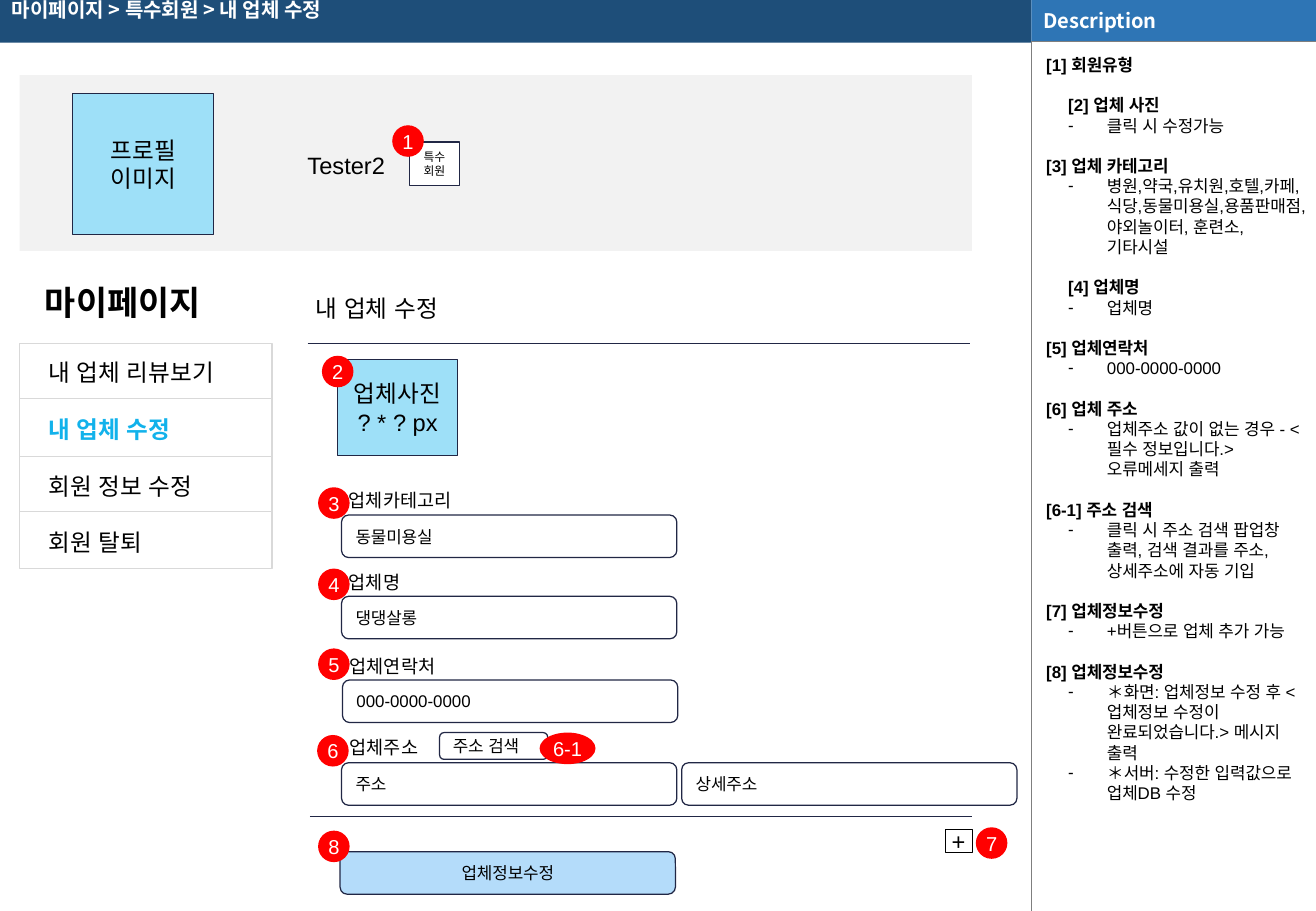
from lxml.etree import SubElement
from pptx import Presentation
from pptx.dml.color import RGBColor
from pptx.enum.shapes import MSO_CONNECTOR, MSO_SHAPE
from pptx.enum.text import MSO_ANCHOR, MSO_AUTO_SIZE, PP_ALIGN
from pptx.oxml.ns import qn
from pptx.util import Cm, Pt

COLORS = {
    "navy": "1E4E79", "blue": "2E75B5", "gray": "7F7F7F", "panel": "F2F2F2",
    "border": "D9D9D9", "ink": "212745", "sky": "9EE0F8", "button": "B4DCFA",
    "accent": "12B2EB", "red": "FF0000", "white": "FFFFFF", "black": "000000",
}
ARIAL, NOTO = "Arial", "Noto Sans CJK KR"
INSET = 0.25

DESCRIPTION = [
    ("[1] 회원유형", 0, []),
    ("[2] 업체 사진", 0.46, ["클릭 시 수정가능"]),
    ("[3] 업체 카테고리", 0,
     ["병원,약국,유치원,호텔,카페,식당,동물미용실,용품판매점,야외놀이터, 훈련소, 기타시설"]),
    ("[4] 업체명", 0.46, ["업체명"]),
    ("[5] 업체연락처", 0, ["000-0000-0000"]),
    ("[6] 업체 주소", 0, ["업체주소 값이 없는 경우 - <필수 정보입니다.> 오류메세지 출력"]),
    ("[6-1] 주소 검색", 0,
     ["클릭 시 주소 검색 팝업창 출력, 검색 결과를 주소, 상세주소에 자동 기입"]),
    ("[7] 업체정보수정", 0, ["+버튼으로 업체 추가 가능"]),
    ("[8] 업체정보수정", 0,
     ["＊화면: 업체정보 수정 후 <업체정보 수정이 완료되었습니다.> 메시지 출력",
      "＊서버: 수정한 입력값으로 업체DB 수정"]),
]
MENU = ["내 업체 리뷰보기", "내 업체 수정", "회원 정보 수정", "회원 탈퇴"]
LABELS = [
    ("업체카테고리", 7.04, 9.75, 3.4, 1.5), ("업체명", 7.04, 11.46, 1.8, 1.5),
    ("업체연락처", 7.06, 13.21, 2.57, 1.5), ("업체주소", 7.06, 15.14, 2.54, 1),
]
FIELDS = [
    ("동물미용실", 7.14, 10.77), ("댕댕살롱", 7.14, 12.47), ("000-0000-0000", 7.16, 14.22),
    ("주소", 7.14, 15.95), ("상세주소", 14.25, 15.95),
]
BADGES = [
    ("1", 8.2, 2.62), ("2", 6.73, 7.44), ("3", 6.65, 10.19), ("4", 6.65, 11.89),
    ("5", 6.65, 13.56), ("6", 6.63, 15.37), ("7", 20.4, 17.3), ("8", 6.65, 17.37),
]


def color(name):
    return RGBColor.from_string(COLORS[name])


def format_para(para, size, ink="black", bold=False, font=ARIAL, spacing=None, before=0):
    para.font.size, para.font.bold, para.font.name = Pt(size), bold, font
    para.font.color.rgb = color(ink)
    SubElement(para.font._element, qn("a:ea"), typeface=font)
    para.space_before = Pt(before)
    if spacing:
        para.line_spacing = spacing


def format_frame(frame, anchor=MSO_ANCHOR.TOP, inset=INSET):
    frame.word_wrap, frame.auto_size = True, MSO_AUTO_SIZE.NONE
    frame.vertical_anchor = anchor
    frame.margin_left = frame.margin_right = Cm(inset)
    frame.margin_top = frame.margin_bottom = Cm(inset)


def write_lines(frame, lines, size, align=PP_ALIGN.LEFT, **style):
    for index, line in enumerate(lines):
        para = frame.add_paragraph() if index else frame.paragraphs[0]
        para.text, para.alignment = line, align
        format_para(para, size, **style)


def place(box, left, top, width, height):
    box.left, box.top, box.width, box.height = Cm(left), Cm(top), Cm(width), Cm(height)


def add_box(page, area, fill=None, line=None, lines=(), size=10, kind=MSO_SHAPE.RECTANGLE,
            align=PP_ALIGN.CENTER, inset=INSET, weight=0.75, **style):
    box = page.shapes.add_shape(kind, *map(Cm, area))
    box.shadow.inherit = False
    if fill:
        box.fill.solid()
        box.fill.fore_color.rgb = color(fill)
    else:
        box.fill.background()
    if line:
        box.line.color.rgb, box.line.width = color(line), Pt(weight)
    else:
        box.line.fill.background()
    format_frame(box.text_frame, MSO_ANCHOR.MIDDLE, inset)
    write_lines(box.text_frame, lines, size, align, **style)


def add_field(page, text, area, fill="white", align=PP_ALIGN.LEFT):
    add_box(page, area, fill, "ink", [text], kind=MSO_SHAPE.ROUNDED_RECTANGLE, align=align)


def add_badge(page, text, left, top, width=0.66):
    add_box(page, (left, top, width, 0.66), "red", None, [text], 11.9,
            MSO_SHAPE.OVAL, inset=0, ink="white")


def add_label(page, text, area, size, align=PP_ALIGN.LEFT, **style):
    box = page.shapes.add_textbox(*map(Cm, area))
    format_frame(box.text_frame)
    write_lines(box.text_frame, [text], size, align, **style)


def add_rule(page, left, top, right, bottom, ink="ink"):
    rule = page.shapes.add_connector(
        MSO_CONNECTOR.STRAIGHT, Cm(left), Cm(top), Cm(right), Cm(bottom))
    rule.line.color.rgb, rule.line.width = color(ink), Pt(0.75)
    SubElement(rule._element.spPr, qn("a:effectLst"))


def set_bullet(para, indent, hanging=0, mark=None):
    props = para._p.get_or_add_pPr()
    props.set("marL", str(Cm(indent)))
    props.set("indent", str(-Cm(hanging)))
    if mark:
        SubElement(props, qn("a:buChar"), char=mark)
    else:
        SubElement(props, qn("a:buNone"))


def fill_title(title):
    place(title, 0, 0, 21.56, 0.89)
    title.fill.solid()
    title.fill.fore_color.rgb = color("navy")
    format_frame(title.text_frame)
    title.text_frame.margin_top = title.text_frame.margin_bottom = 0
    write_lines(title.text_frame, ["마이페이지 > 특수회원 > 내 업체 수정"], 11.9,
                ink="white", bold=True, font=NOTO, spacing=0.9)


def fill_description(body):
    place(body, 21.62, 0.89, 5.89, 17.2)
    frame = body.text_frame
    format_frame(frame)
    for index, (heading, indent, items) in enumerate(DESCRIPTION):
        para = frame.add_paragraph() if index else frame.paragraphs[0]
        para.text = heading
        set_bullet(para, indent)
        format_para(para, 10, bold=True, spacing=Pt(12), before=12 if index else 0)
        for item in items:
            para = frame.add_paragraph()
            para.text = item
            set_bullet(para, 1.27, 0.81, "-")
            format_para(para, 10, spacing=Pt(12))


def add_menu(page):
    add_box(page, (0.41, 7.19, 5.28, 4.7), line="border")
    for top in (8.33, 9.55, 10.69):
        add_rule(page, 0.41, top, 5.69, top, "border")
    box = page.shapes.add_textbox(Cm(0.76), Cm(7.24), Cm(4.72), Cm(4.7))
    format_frame(box.text_frame)
    write_lines(box.text_frame, MENU, 14, spacing=Pt(16.8))
    for para in box.text_frame.paragraphs[1:]:
        para.space_before = Pt(16.8)
    current = box.text_frame.paragraphs[1]
    current.font.bold, current.font.color.rgb = True, color("accent")


def add_profile(page):
    add_box(page, (0.41, 1.57, 19.91, 3.68), "panel")
    add_box(page, (1.52, 1.96, 2.95, 2.95), "sky", "ink", ["프로필", "이미지"], 14)
    add_label(page, "Tester2", (5.59, 2.9, 3.3, 1.12), 14, PP_ALIGN.CENTER)
    add_box(page, (8.56, 2.97, 1.04, 0.91), "white", "ink", ["특수회원"], 7)


def add_form(page):
    add_label(page, "내 업체 수정", (6.35, 5.89, 14.38, 1.12), 14)
    add_rule(page, 6.43, 7.19, 20.27, 7.19)
    add_box(page, (7.06, 7.52, 2.51, 2.01), "sky", "ink", ["업체사진", "? * ? px"], 14)
    for text, left, top, width, spacing in LABELS:
        add_label(page, text, (left, top, width, 1.2), 11, spacing=spacing)
    for text, left, top in FIELDS:
        add_field(page, text, (left, top, 7.01, 0.89))
    add_field(page, "주소 검색", (9.19, 15.32, 2.26, 0.56), None)
    add_rule(page, 6.48, 17.07, 20.32, 17.07)
    add_box(page, (19.76, 17.35, 0.56, 0.48), "white", "black", ["+"], 14,
            inset=0, weight=0.25)
    add_field(page, "업체정보수정", (7.11, 17.81, 7.01, 0.89), "button", PP_ALIGN.CENTER)


def main():
    """Build the company edit page with its description column."""
    deck = Presentation()
    deck.slide_width, deck.slide_height = Cm(27.51), Cm(19.05)
    page = deck.slides.add_slide(deck.slide_layouts[1])
    fill_title(page.shapes.title)
    fill_description(page.placeholders[1])
    add_box(page, (21.56, 0, 5.95, 0.86), "blue", None, ["Description"], 11.9,
            align=PP_ALIGN.LEFT, ink="white", bold=True, font=NOTO)
    add_rule(page, 21.56, 0.87, 27.51, 0.87, "gray")
    add_rule(page, 21.56, 0.87, 21.56, 19.05, "gray")
    add_profile(page)
    add_label(page, "마이페이지", (0.69, 5.64, 4.72, 1.37), 20, bold=True)
    add_menu(page)
    add_form(page)
    for text, left, top in BADGES:
        add_badge(page, text, left, top)
    add_badge(page, "6-1", 11.28, 15.32, 1.17)
    deck.save("out.pptx")


if __name__ == "__main__":
    main()
